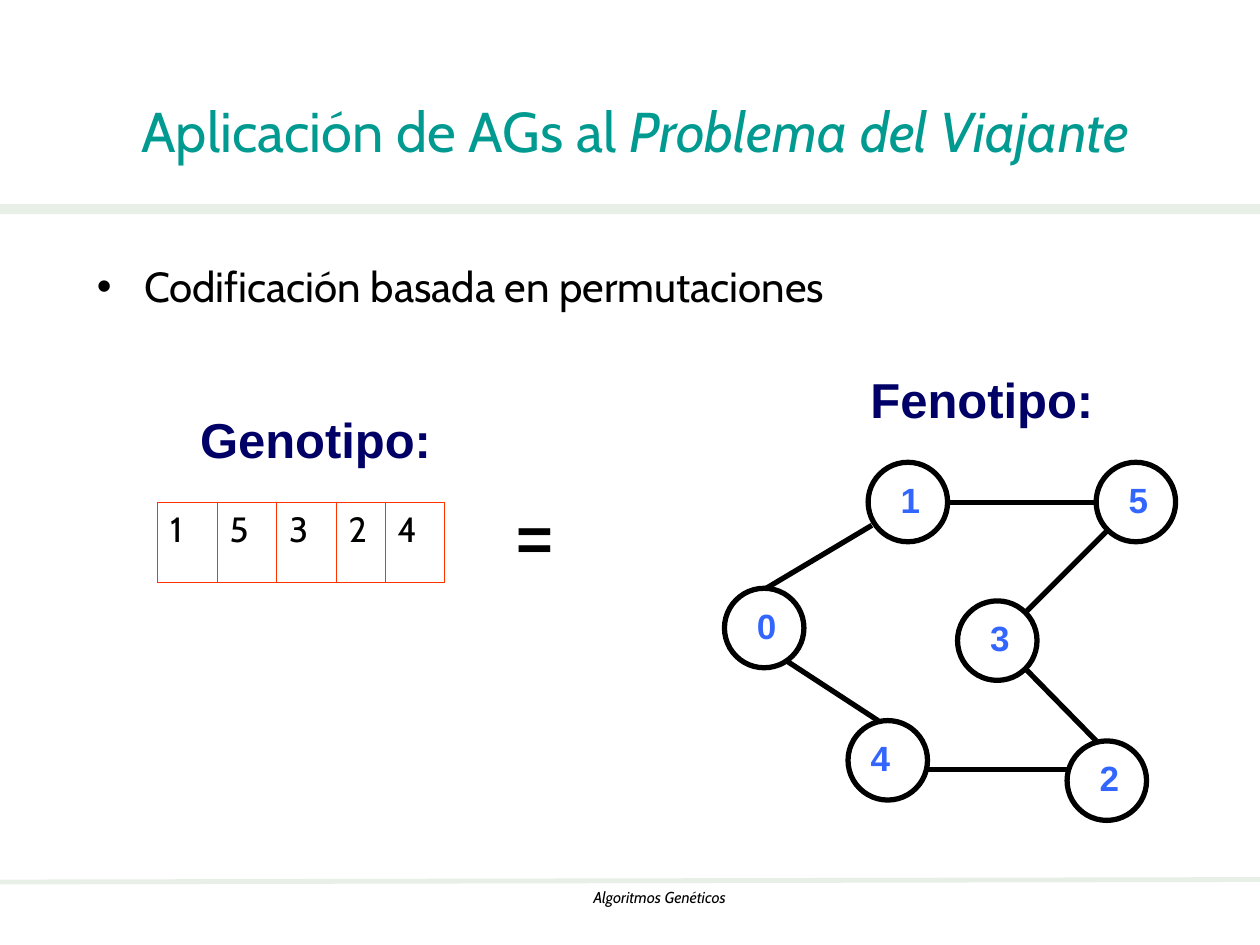
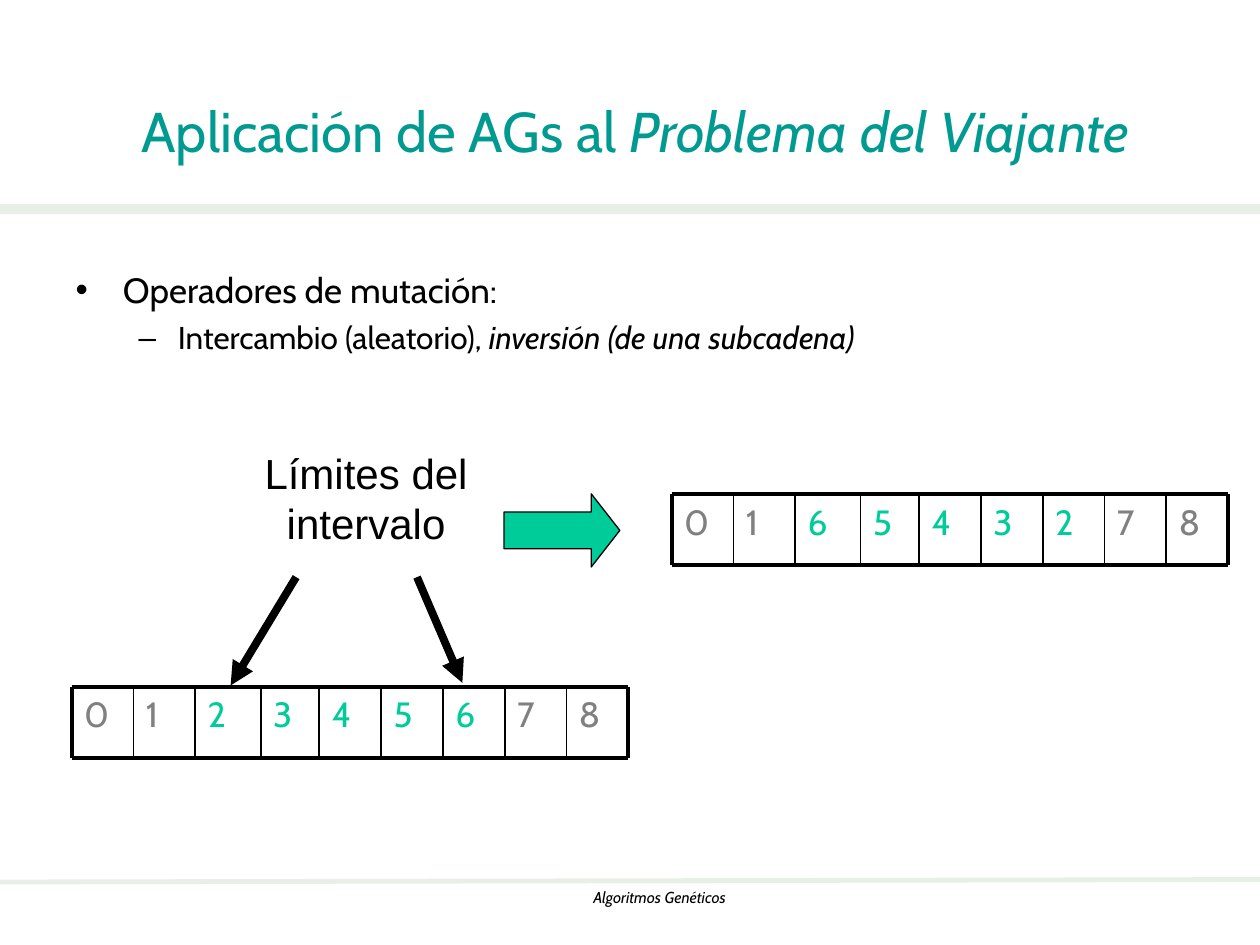
from itertools import accumulate

from lxml import etree
from pptx import Presentation
from pptx import util as u
from pptx.dml.color import RGBColor
from pptx.enum import shapes, text
from pptx.oxml import ns

# ---- Content ----
COLORS = {"teal": "009A91", "band": "E7EFE7", "black": "000000", "navy": "000066",
          "node": "3366FF", "cell_border": "FF3300", "green": "00CC99",
          "grey": "808080"}
TITLE = [("Aplicación de AGs al ", False), ("Problema del Viajante", True)]
FOOTER = "Algoritmos Genéticos"

# Each list item: runs (text, italic), size, bullet, left margin, hanging, space before
ENCODING_LIST = [
    ([("Codificación basada en permutaciones", False)], 24, "•", 27, 27, 0)]
MUTATION_LIST = [
    ([("Operadores de mutación:", False)], 20, "•", 27, 27, 0),
    ([("Intercambio (aleatorio), ", False), ("inversión (de una subcadena)", True)],
     18, "–", 58.5, 22.5, 4.5)]

# Labels: text, box, size, color
ENCODING_LABELS = [
    ("Genotipo:", (107.3, 230.4, 147, 41), 28, "navy"),
    ("Fenotipo:", (490.3, 207.4, 142, 41), 28, "navy"),
    ("=", (288, 281.5, 35.3, 50.4), 36, "black")]
GENOTYPE = [("1", 34), ("5", 34), ("3", 34), ("2", 28), ("4", 34)]

# City: left, top, horizontal offset of its number
CITIES = {"1": (496.1, 264.2, 11.5), "5": (626.4, 264.2, 11.5),
          "4": (484.6, 411.8, 5.8), "2": (609.8, 423.4, 11.5),
          "3": (547.2, 343.4, 11.5), "0": (414, 336.2, 11.5)}
CITY_SIZE = 45.4
ROADS = [(541.4, 287.3, 626.4, 287.3), (632.2, 303.8, 586.8, 349.2),
         (586.8, 383, 626.4, 423.4), (529.9, 439.9, 609.8, 439.9),
         (501.8, 411.8, 450, 378), (437.8, 336.2, 498.2, 300.2)]

# Chromosomes: genes, left, top
CHROMOSOMES = [("012345678", 41, 392.4), ("016543278", 383.8, 282.2)]
INVERTED = "23456"
GENE_WIDTHS = [35.3, 35.3, 37.4, 33.5] + [35.3] * 5
GENE_HEIGHT = 40.8
LIMIT_ARROWS = [(238.3, 329.8, 264.2, 390.2), (169.2, 329.8, 131.8, 391.7)]


# ---- Helpers ----
def points(values):
    return [u.Pt(value) for value in values]


def color(name):
    return RGBColor.from_string(COLORS[name])


def format_runs(paragraph, size, font, color_name, bold=False):
    for run in paragraph.runs:
        run.font.size = u.Pt(size)
        run.font.name = font
        run.font.bold = bold
        run.font.color.rgb = color(color_name)


def add_runs(paragraph, runs):
    for words, italic in runs:
        run = paragraph.add_run()
        run.text = words
        run.font.italic = italic


def add_label(parent, words, box, size, color_name, font="Arial", bold=False,
              wrap=True, align=text.PP_ALIGN.LEFT):
    label = parent.shapes.add_textbox(*points(box))
    label.text_frame.word_wrap = wrap
    label.text_frame.text = words
    paragraph = label.text_frame.paragraphs[0]
    paragraph.alignment = align
    format_runs(paragraph, size, font, color_name, bold)
    return label


def add_line(parent, ends, width, color_name="black", arrow=False):
    line = parent.shapes.add_connector(shapes.MSO_CONNECTOR.STRAIGHT, *points(ends))
    line.line.color.rgb = color(color_name)
    line.line.width = u.Pt(width)
    if arrow:
        etree.SubElement(line.line._get_or_add_ln(), ns.qn("a:tailEnd"), type="triangle")
    etree.SubElement(line.element.spPr, ns.qn("a:effectLst"))
    return line


def add_figure(slide, preset, box, fill=None, line_color=None, width=0.75):
    figure = slide.shapes.add_shape(preset, *points(box))
    figure.shadow.inherit = False
    if fill:
        figure.fill.solid()
        figure.fill.fore_color.rgb = color(fill)
    else:
        figure.fill.background()
    if line_color:
        figure.line.color.rgb = color(line_color)
        figure.line.width = u.Pt(width)
    else:
        figure.line.fill.background()
    return figure


def place(placeholder, box, anchor):
    placeholder.left, placeholder.top, placeholder.width, placeholder.height = points(box)
    placeholder.text_frame.auto_size = text.MSO_AUTO_SIZE.NONE
    placeholder.text_frame.vertical_anchor = anchor
    return placeholder.text_frame


def add_bullet(paragraph, character, margin, hanging):
    properties = paragraph._p.get_or_add_pPr()
    properties.set("marL", str(u.Pt(margin)))
    properties.set("indent", str(-u.Pt(hanging)))
    bullet_color = etree.SubElement(properties, ns.qn("a:buClr"))
    etree.SubElement(bullet_color, ns.qn("a:srgbClr"), val=COLORS["black"])
    etree.SubElement(properties, ns.qn("a:buFont"), typeface="Arial")
    etree.SubElement(properties, ns.qn("a:buChar"), char=character)


def add_slide(presentation, items, body_box):
    slide = presentation.slides.add_slide(presentation.slide_layouts[1])
    frame = place(slide.shapes.title, (48.2, 37.4, 630, 73.4), text.MSO_ANCHOR.MIDDLE)
    title = frame.paragraphs[0]
    title.alignment = text.PP_ALIGN.CENTER
    add_runs(title, TITLE)
    format_runs(title, 32, "Cabin", "teal")

    frame = place(slide.placeholders[1], body_box, text.MSO_ANCHOR.TOP)
    for level, (runs, size, character, margin, hanging, before) in enumerate(items):
        paragraph = frame.add_paragraph() if level else frame.paragraphs[0]
        paragraph.level = level
        add_bullet(paragraph, character, margin, hanging)
        paragraph.space_before = u.Pt(before)
        add_runs(paragraph, runs)
        format_runs(paragraph, size, "Cabin", "black")
    return slide


def share_on_master(presentation, slide):
    """Draw the band and footer once and hand them to the slide master."""
    footer = add_label(slide, FOOTER, (167, 504, 419.8, 18), 9, "black", "Cabin",
                       align=text.PP_ALIGN.CENTER)
    footer.text_frame.paragraphs[0].runs[0].font.italic = True
    common = [add_line(slide, (0, 504, 720, 502.6), 2.75, "band"),
              add_figure(slide, shapes.MSO_SHAPE.RECTANGLE, (0, 116.6, 720, 5.8), "band"),
              footer]
    for shape in common:
        presentation.slide_master.shapes.element.append(shape.element)


def add_genotype_table(slide):
    widths = [width for _, width in GENOTYPE]
    frame = slide.shapes.add_table(1, len(widths), *points((90, 287.3, sum(widths), 45.4)))
    table = frame.table
    table.first_row = table.horz_banding = False
    for column, (gene, width) in enumerate(GENOTYPE):
        table.columns[column].width = u.Pt(width)
        cell = table.cell(0, column)
        cell.text = gene
        format_runs(cell.text_frame.paragraphs[0], 20, "Cabin", "black")
        properties = cell._tc.get_or_add_tcPr()
        for side in ("lnL", "lnR", "lnT", "lnB"):
            border = etree.SubElement(properties, ns.qn("a:" + side), w=str(u.Pt(0.45)))
            fill = etree.SubElement(border, ns.qn("a:solidFill"))
            etree.SubElement(fill, ns.qn("a:srgbClr"), val=COLORS["cell_border"])
        cell.fill.background()


def add_chromosome(slide, genes, left, top):
    group = slide.shapes.add_group_shape()
    edges = list(accumulate(GENE_WIDTHS, initial=left))
    bottom = top + GENE_HEIGHT
    for gene, x, width in zip(genes, edges, GENE_WIDTHS):
        add_label(group, gene, (x, top, width, GENE_HEIGHT), 20,
                  "green" if gene in INVERTED else "grey", "Cabin")
    for y in (top, bottom):
        add_line(group, (left, y, edges[-1], y), 2.25)
    for x in edges:
        add_line(group, (x, top, x, bottom), 2.25 if x in (left, edges[-1]) else 1)


# ---- Slides ----
def build_encoding_slide(presentation):
    slide = add_slide(presentation, ENCODING_LIST, (48.2, 145.4, 635, 345.6))
    share_on_master(presentation, slide)
    for words, box, size, color_name in ENCODING_LABELS:
        add_label(slide, words, box, size, color_name, bold=True, wrap=False)
    add_genotype_table(slide)
    for road in ROADS:
        add_line(slide, road, 3)
    for city, (left, top, offset) in CITIES.items():
        add_figure(slide, shapes.MSO_SHAPE.OVAL, (left, top, CITY_SIZE, CITY_SIZE),
                   line_color="black", width=3)
        add_label(slide, city, (left + offset, top + 5.5, 28, 31.7), 20, "node", bold=True)


def build_mutation_slide(presentation):
    slide = add_slide(presentation, MUTATION_LIST, (36, 149.8, 509.8, 106.6))
    for chromosome in CHROMOSOMES:
        add_chromosome(slide, *chromosome)
    for ends in LIMIT_ARROWS:
        add_line(slide, ends, 4.5, arrow=True)
    add_label(slide, "Límites del intervalo", (126, 252, 166.3, 64.8), 24, "black",
              align=text.PP_ALIGN.CENTER)
    arrow = add_figure(slide, shapes.MSO_SHAPE.RIGHT_ARROW, (288, 282.2, 66.2, 41.8),
                       "green", "black")
    arrow.adjustments[0] = 0.5
    arrow.adjustments[1] = 0.39


def main():
    presentation = Presentation()
    presentation.slide_width, presentation.slide_height = points((720, 540))
    build_encoding_slide(presentation)
    build_mutation_slide(presentation)
    presentation.save("out.pptx")


if __name__ == "__main__":
    main()
